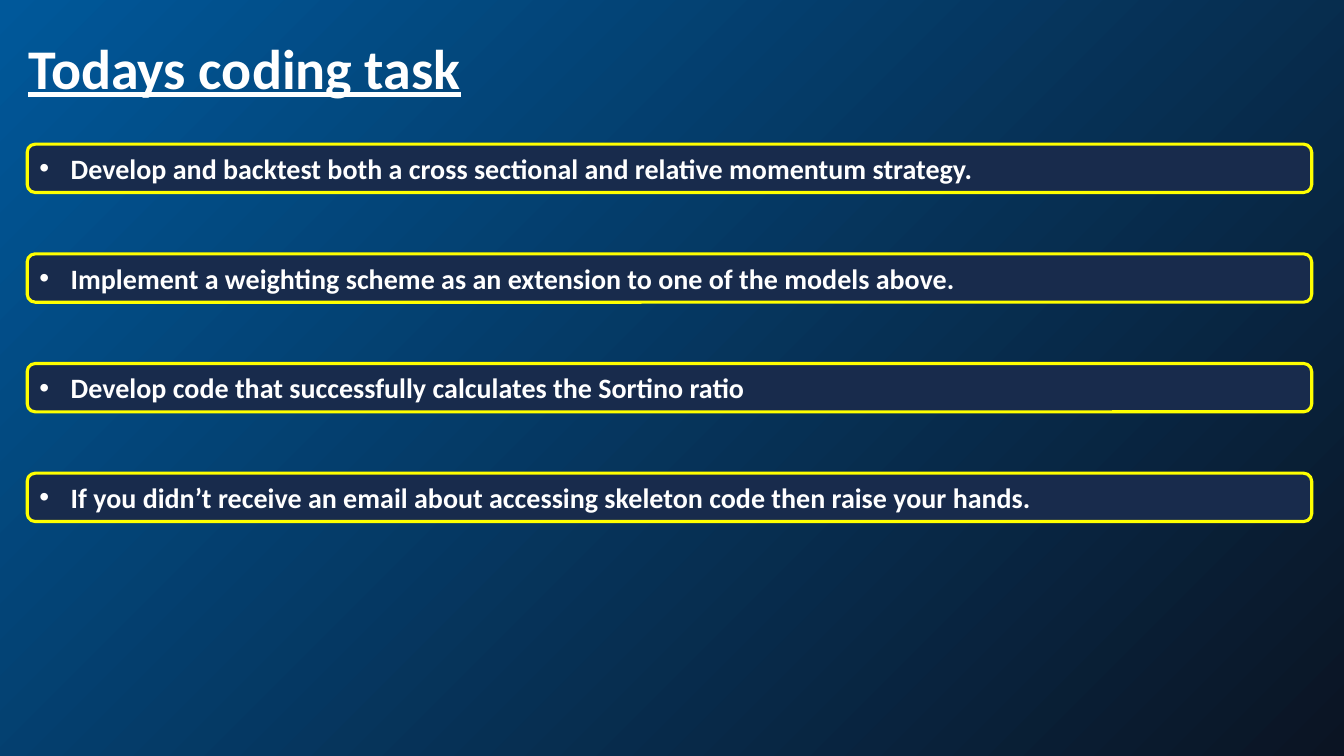
from lxml.etree import SubElement
from pptx import Presentation
from pptx.dml.color import RGBColor
from pptx.enum.shapes import MSO_SHAPE
from pptx.enum.text import MSO_ANCHOR, MSO_AUTO_SIZE, PP_ALIGN
from pptx.oxml.ns import qn
from pptx.util import Inches, Pt

TITLE = "Todays coding task"
TASKS = [
    "Develop and backtest both a cross sectional and relative momentum strategy.",
    "Implement a weighting scheme as an extension to one of the models above.",
    "Develop code that successfully calculates the Sortino ratio",
    "If you didn’t receive an email about accessing skeleton code then raise your hands.",
]
COLORS = {
    "sky": "00589A",
    "night": "0B1423",
    "panel": "182B4C",
    "border": "FFFF00",
    "text": "FFFFFF",
}
TASK_LEFT, TASK_TOP, TASK_WIDTH, TASK_HEIGHT = 0.27, 1.43, 12.74, 0.48
TASK_PITCH = 1.088
BULLET_INDENT = 0.31


def color(name):
    return RGBColor.from_string(COLORS[name])


def style_text(para, size):
    para.alignment = PP_ALIGN.LEFT
    font = para.font
    font.name, font.size, font.bold = "Calibri", Pt(size), True
    font.color.rgb = color("text")


def add_bullet(para):
    props = para._p.get_or_add_pPr()
    props.set("marL", str(Inches(BULLET_INDENT)))
    props.set("indent", str(-Inches(BULLET_INDENT)))
    SubElement(props, qn("a:buFont"), typeface="Arial")
    SubElement(props, qn("a:buChar"), char="•")


def paint_background(page):
    fill = page.background.fill
    fill.gradient()
    fill.gradient_angle = 315
    for stop, name, position in zip(fill.gradient_stops, ("sky", "night"), (0, 1)):
        stop.color.rgb = color(name)
        stop.position = position


def place_title(page):
    title = page.shapes.title
    title.left, title.top = Inches(0.18), Inches(-0.02)
    title.width, title.height = Inches(4.53), Inches(1.45)
    frame = title.text_frame
    frame.text = TITLE
    frame.vertical_anchor = MSO_ANCHOR.MIDDLE
    para = frame.paragraphs[0]
    para.line_spacing = 0.9
    style_text(para, 40)
    para.font.underline = True


def add_task(page, top, text):
    box = page.shapes.add_shape(
        MSO_SHAPE.ROUNDED_RECTANGLE,
        Inches(TASK_LEFT), Inches(top), Inches(TASK_WIDTH), Inches(TASK_HEIGHT),
    )
    box.shadow.inherit = False
    box.fill.solid()
    box.fill.fore_color.rgb = color("panel")
    box.line.color.rgb = color("border")
    box.line.width = Pt(2.25)
    frame = box.text_frame
    frame.word_wrap = True
    frame.auto_size = MSO_AUTO_SIZE.SHAPE_TO_FIT_TEXT
    frame.vertical_anchor = MSO_ANCHOR.TOP
    frame.text = text
    para = frame.paragraphs[0]
    add_bullet(para)
    style_text(para, 20)


def main():
    deck = Presentation()
    deck.slide_width, deck.slide_height = Inches(13.33), Inches(7.5)
    page = deck.slides.add_slide(deck.slide_layouts.get_by_name("Title Only"))
    paint_background(page)
    place_title(page)
    for row, task in enumerate(TASKS):
        add_task(page, TASK_TOP + row * TASK_PITCH, task)
    deck.save("out.pptx")


if __name__ == "__main__":
    main()
